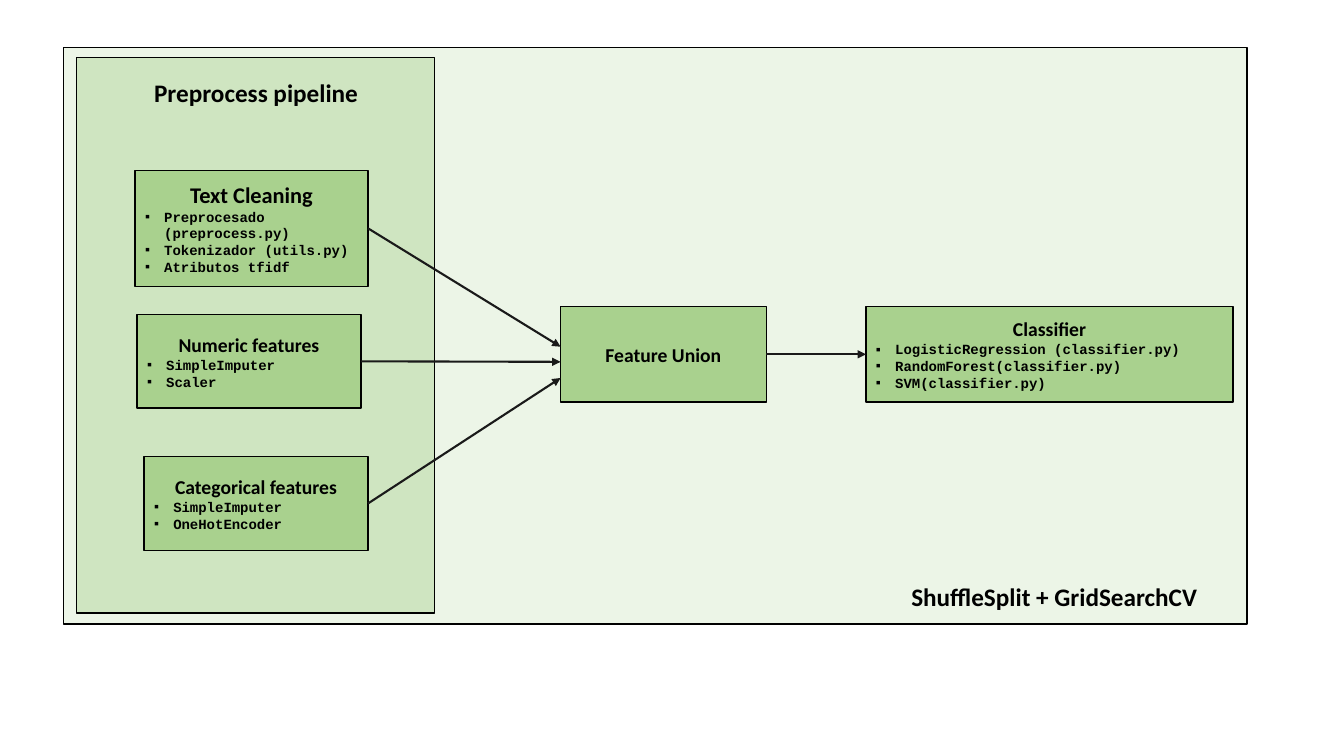
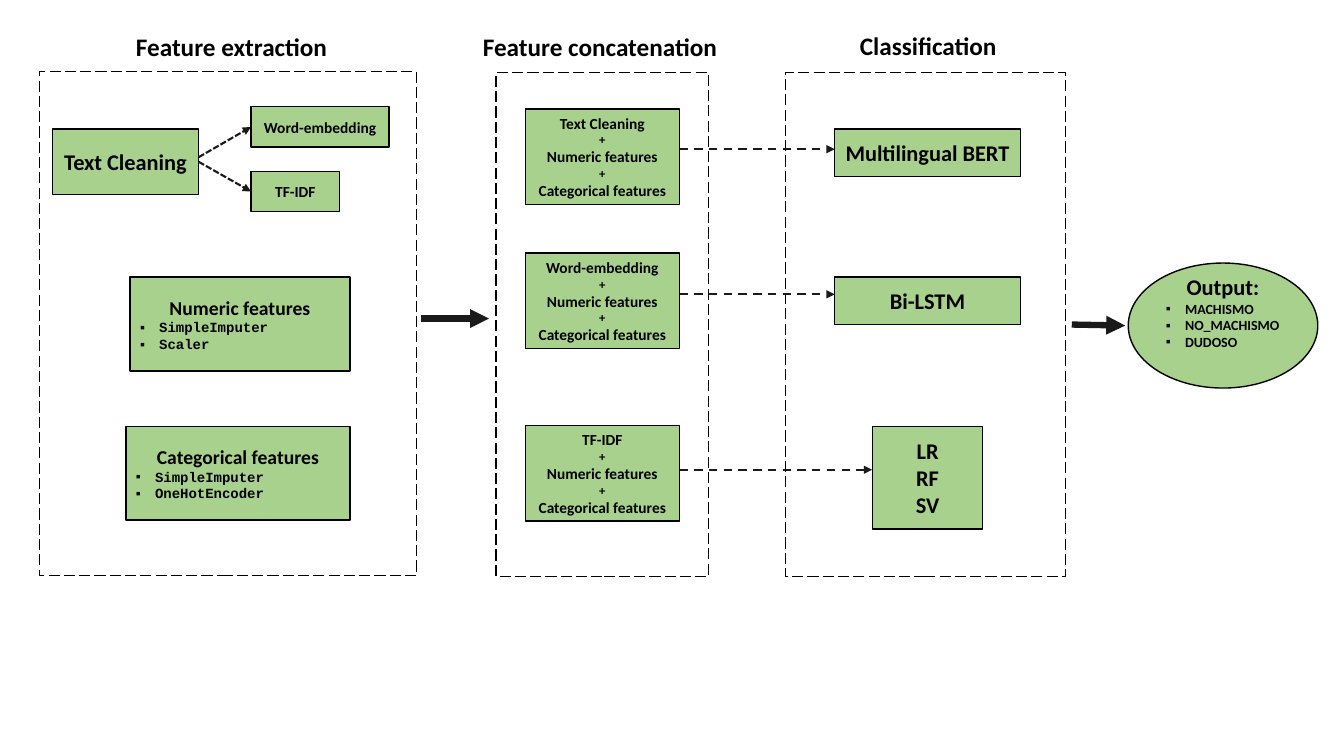
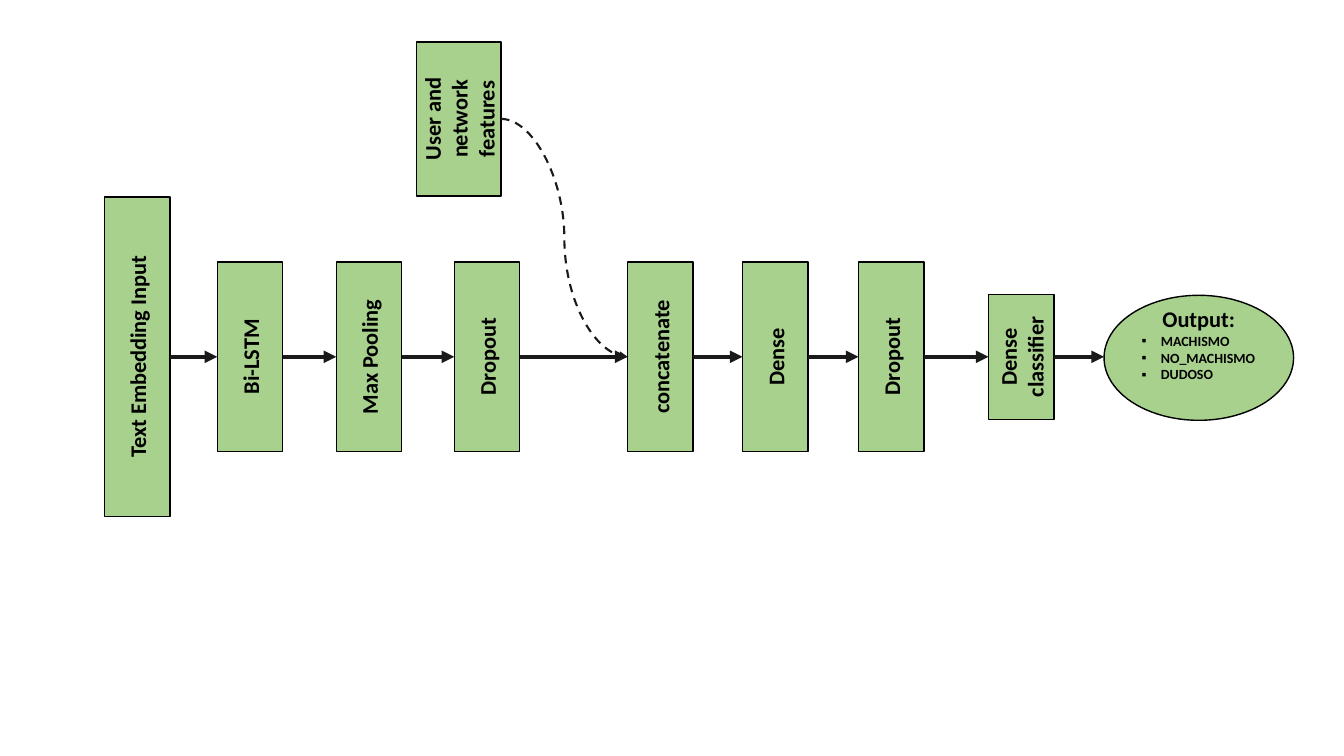
import pptx
import pptx.util
import pptx.dml.color
import pptx.enum.dml
import pptx.enum.shapes
import pptx.enum.text
import pptx.oxml
import pptx.oxml.ns

Inches = pptx.util.Inches
SHAPES = pptx.enum.shapes.MSO_SHAPE
CONNECTORS = pptx.enum.shapes.MSO_CONNECTOR
DASHES = pptx.enum.dml.MSO_LINE
ALIGN = pptx.enum.text.PP_ALIGN

# Shared look
BLACK, INK, WHITE = "000000", "1A1A1A", "FFFFFF"
PALE, LIGHT, GREEN = "ECF5E7", "CFE5C1", "A9D18E"
SANS, MONO = "Calibri", "Courier New"
STYLES = {
    "title": {"size": 18, "name": SANS},
    "large": {"size": 16, "name": SANS},
    "head": {"size": 14, "name": SANS},
    "small": {"size": 11, "name": SANS},
    "plus": {"size": 9, "name": SANS},
    "code": {"size": 10, "name": MONO, "bullet": True},
    "label": {"size": 10, "name": SANS, "bullet": True},
}
BULLET_INDENT = Inches(0.19)
LEFT, RIGHT = 1, 3

NUMERIC = [("Numeric features", "head"), ("SimpleImputer", "code"), ("Scaler", "code")]
CATEGORICAL = [("Categorical features", "head"), ("SimpleImputer", "code"),
               ("OneHotEncoder", "code")]


def color(value):
    return pptx.dml.color.RGBColor.from_string(value)


def add_bullet(paragraph):
    properties = paragraph._p.get_or_add_pPr()
    properties.set("marL", str(BULLET_INDENT))
    properties.set("indent", str(-BULLET_INDENT))
    for tag, name, value in (("a:buFont", "typeface", "Arial"), ("a:buChar", "char", "▪")):
        element = pptx.oxml.ns.qn(tag)
        properties.append(properties.makeelement(element, {name: value}))


def write(text_frame, lines, alignment=ALIGN.CENTER):
    """Fill a text frame with (text, style) lines."""
    text_frame.word_wrap = True
    for index, (text, style_name) in enumerate(lines):
        style = dict(STYLES[style_name])
        paragraph = text_frame.add_paragraph() if index else text_frame.paragraphs[0]
        if style.pop("bullet", False):
            paragraph.alignment = ALIGN.LEFT
            add_bullet(paragraph)
        else:
            paragraph.alignment = alignment
        run = paragraph.add_run()
        run.text = text
        run.font.bold = True
        run.font.color.rgb = color(BLACK)
        for name, value in style.items():
            setattr(run.font, name, pptx.util.Pt(value) if name == "size" else value)


def add_box(slide, left, top, width, height, lines=(), fill=GREEN, dash=None,
            preset=SHAPES.RECTANGLE):
    shape = slide.shapes.add_shape(preset, *map(Inches, (left, top, width, height)))
    shape.shadow.inherit = False
    shape.fill.solid()
    shape.fill.fore_color.rgb = color(fill)
    shape.line.color.rgb = color(BLACK)
    shape.line.width = pptx.util.Pt(1)
    if dash:
        shape.line.dash_style = dash
    shape.text_frame.vertical_anchor = pptx.enum.text.MSO_ANCHOR.MIDDLE
    write(shape.text_frame, lines)
    return shape


def add_upright_box(slide, center_x, center_y, length, thickness, text):
    """A box turned to read from bottom to top."""
    shape = add_box(slide, center_x - length / 2, center_y - thickness / 2,
                    length, thickness, [(text, "large")])
    shape.rotation = 270
    return shape


def add_heading(slide, left, top, width, text):
    box = slide.shapes.add_textbox(*map(Inches, (left, top, width, 0.4)))
    write(box.text_frame, [(text, "title")], ALIGN.LEFT)


def add_output(slide, left, top):
    lines = [("Output:", "large")]
    lines += [(name, "label") for name in ("MACHISMO", "NO_MACHISMO", "DUDOSO")]
    ellipse = add_box(slide, left, top, 1.88, 1.24, lines, preset=SHAPES.OVAL)
    ellipse.text_frame.margin_bottom = Inches(0.32)


def locate(end):
    """Return shape, site, x, y for a point or a (shape, visible side) pair."""
    target, side = end
    if not hasattr(target, "rotation"):
        return None, None, Inches(target), Inches(side)
    turned = target.rotation == 270
    reach = (target.height if turned else target.width) // 2
    x = target.left + target.width // 2 + (reach if side == RIGHT else -reach)
    y = target.top + target.height // 2
    return target, (side - 1 if turned else side), x, y


def add_arrow(slide, start, end, width=1.5, dash=None, kind=CONNECTORS.STRAIGHT):
    begin_shape, begin_site, begin_x, begin_y = locate(start)
    end_shape, end_site, end_x, end_y = locate(end)
    arrow = slide.shapes.add_connector(kind, begin_x, begin_y, end_x, end_y)
    if begin_shape is not None:
        arrow.begin_connect(begin_shape, begin_site)
    if end_shape is not None:
        arrow.end_connect(end_shape, end_site)
    # Joining ignores rotation, so the ends are set again
    places = {"begin_x": begin_x, "begin_y": begin_y, "end_x": end_x, "end_y": end_y}
    for name, value in places.items():
        setattr(arrow, name, value)
    arrow.line.color.rgb = color(INK)
    arrow.line.width = pptx.util.Pt(width)
    if dash:
        arrow.line.dash_style = dash
    line = arrow.line._get_or_add_ln()
    line.append(line.makeelement(pptx.oxml.ns.qn("a:tailEnd"), {"type": "triangle"}))
    properties = arrow._element.spPr
    properties.append(properties.makeelement(pptx.oxml.ns.qn("a:effectLst"), {}))


# Slide 1: pipeline
def add_preprocess_panel(slide, left, top):
    add_box(slide, left, top, 3.55, 5.51, fill=LIGHT)
    add_heading(slide, left + 0.67, top + 0.15, 2.31, "Preprocess pipeline")
    cleaning = [("Text Cleaning", "large"), ("Preprocesado (preprocess.py)", "code"),
                ("Tokenizador (utils.py)", "code"), ("Atributos tfidf", "code")]
    return [
        add_box(slide, left + 0.58, top + 1.12, 2.31, 1.15, cleaning),
        add_box(slide, left + 0.6, top + 2.55, 2.22, 0.93, NUMERIC),
        add_box(slide, left + 0.67, top + 3.96, 2.22, 0.93, CATEGORICAL),
    ]


def build_pipeline_slide(slide):
    add_box(slide, 0.63, 0.47, 11.74, 5.72, fill=PALE)
    features = add_preprocess_panel(slide, 0.76, 0.57)
    union = add_box(slide, 5.56, 3.04, 2.04, 0.95, [("Feature Union", "head")])
    names = ("LogisticRegression (classifier.py)", "RandomForest(classifier.py)",
             "SVM(classifier.py)")
    classifier = add_box(slide, 8.59, 3.04, 3.64, 0.95,
                         [("Classifier", "head")] + [(name, "code") for name in names])
    add_heading(slide, 8.94, 5.72, 3.29, "ShuffleSplit + GridSearchCV")
    for feature, arrival in zip(features, (3.44, 3.59, 3.75)):
        add_arrow(slide, (feature, RIGHT), (5.56, arrival))
    add_arrow(slide, (union, RIGHT), (classifier, LEFT))


# Slide 2: three stages
def add_stage(slide, left, top, width, heading, heading_x, heading_y, heading_width):
    add_box(slide, left, top, width, 5, fill=WHITE, dash=DASHES.LONG_DASH)
    add_heading(slide, left + heading_x, top + heading_y, heading_width, heading)


def add_extraction(slide, left, top):
    add_stage(slide, left, top, 3.74, "Feature extraction", 0.86, -0.45, 2.31)
    cleaning = add_box(slide, left + 0.13, top + 0.57, 1.45, 0.65,
                       [("Text Cleaning", "large")])
    embedding = add_box(slide, left + 2.1, top + 0.35, 1.37, 0.4,
                        [("Word-embedding", "small")])
    tfidf = add_box(slide, left + 2.1, top + 0.99, 0.88, 0.4, [("TF-IDF", "small")])
    add_box(slide, left + 0.9, top + 2.04, 2.18, 0.93, NUMERIC)
    add_box(slide, left + 0.86, top + 3.52, 2.22, 0.93, CATEGORICAL)
    dots = DASHES.SQUARE_DOT
    add_arrow(slide, (left + 1.58, top + 0.85), (embedding, LEFT), dash=dots)
    add_arrow(slide, (cleaning, RIGHT), (tfidf, LEFT), dash=dots)


def add_concatenation(slide, left, top):
    add_stage(slide, left, top, 2.11, "Feature concatenation", -0.23, -0.46, 2.58)
    for name, offset in (("Text Cleaning", 0.36), ("Word-embedding", 1.79), ("TF-IDF", 3.5)):
        lines = [(name, "small"), ("+", "plus"), ("Numeric features", "small"),
                 ("+", "plus"), ("Categorical features", "small")]
        add_box(slide, left + 0.29, top + offset, 1.53, 0.95, lines)


def add_classification(slide, left, top):
    add_stage(slide, left, top, 2.78, "Classification", 0.64, -0.47, 2.58)
    models = [(0.56, 1.84, 0.47, ["Multilingual BERT"]), (2.03, 1.84, 0.47, ["Bi-LSTM"]),
              (3.51, 1.09, 1.02, ["LR", "RF", "SV"])]
    middle = left + 1.41
    for offset, width, height, names in models:
        add_box(slide, middle - width / 2, top + offset, width, height,
                [(name, "large") for name in names])


def build_stages_slide(slide):
    add_extraction(slide, 0.39, 0.71)
    add_concatenation(slide, 4.92, 0.72)
    add_classification(slide, 7.79, 0.72)
    add_output(slide, 11.19, 2.61)
    for end_x, y in ((8.28, 1.48), (8.28, 2.92), (8.65, 4.66)):
        add_arrow(slide, (6.74, y), (end_x, y), dash=DASHES.DASH)
    add_arrow(slide, (4.18, 3.16), (4.85, 3.16), width=4.5)
    add_arrow(slide, (10.63, 3.22), (11.16, 3.23), width=4.5)


# Slide 3: network layers
def build_network_slide(slide):
    axis = 3.54
    layers = [("Text Embedding Input", 1.36, 3.17), ("Bi-LSTM", 2.48, 1.88),
              ("Max Pooling", 3.66, 1.88), ("Dropout", 4.83, 1.88),
              ("concatenate", 6.55, 1.88), ("Dense", 7.69, 1.88),
              ("Dropout", 8.84, 1.88), ("Dense classifier", 10.13, 1.24)]
    boxes = [add_upright_box(slide, center_x, axis, length, 0.65, name)
             for name, center_x, length in layers]
    features = add_upright_box(slide, 4.55, 1.18, 1.53, 0.84, "User and network features")
    add_output(slide, 10.95, 2.93)
    for before, after in zip(boxes, boxes[1:]):
        add_arrow(slide, (before, RIGHT), (after, LEFT), width=3)
    add_arrow(slide, (boxes[-1], RIGHT), (10.95, axis), width=3)
    add_arrow(slide, (features, RIGHT), (boxes[4], LEFT), dash=DASHES.DASH,
              kind=CONNECTORS.CURVE)


def main():
    presentation = pptx.Presentation()
    presentation.slide_width = Inches(13.33)
    presentation.slide_height = Inches(7.5)
    blank_layout = presentation.slide_layouts[6]
    for build in (build_pipeline_slide, build_stages_slide, build_network_slide):
        build(presentation.slides.add_slide(blank_layout))
    presentation.save("out.pptx")


if __name__ == "__main__":
    main()
